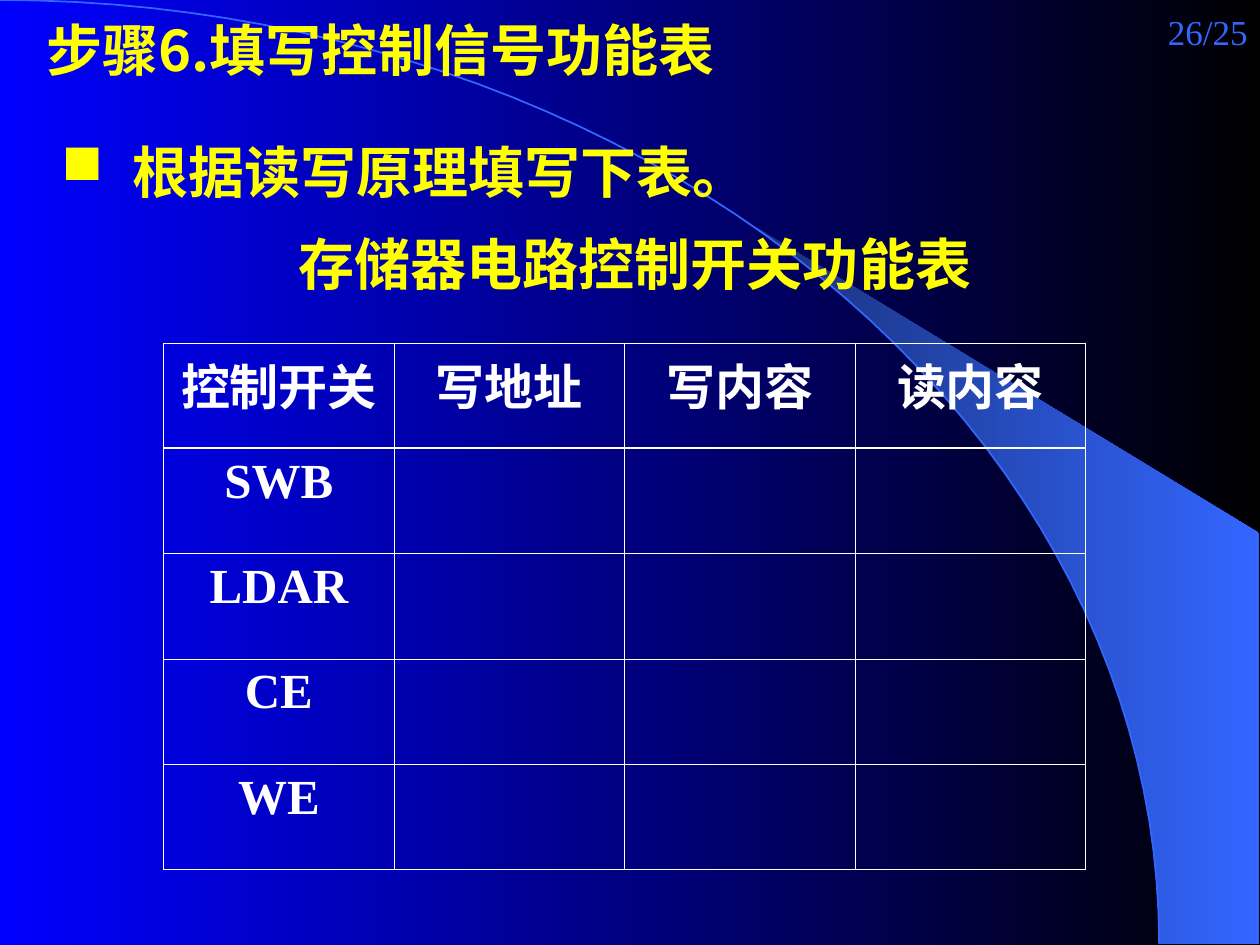
import math

import pptx
import pptx.dml.color
import pptx.enum.text
import pptx.oxml
import pptx.oxml.ns
import pptx.util
from lxml import etree

Pt = pptx.util.Pt
ALIGN = pptx.enum.text.PP_ALIGN
ANCHOR = pptx.enum.text.MSO_ANCHOR
qn = pptx.oxml.ns.qn

SANS, SERIF = "Noto Sans CJK SC", "Times New Roman"
YELLOW, WHITE, BLUE = "FFFF00", "FFFFFF", "3366FF"


def color(hex_string):
    return pptx.dml.color.RGBColor.from_string(hex_string)


def ellipse_arc(radius_x, radius_y, start, end, steps=48):
    """Points on an ellipse centred on the left edge, angles from the top."""
    angles = [math.radians(start + (end - start) * i / steps) for i in range(steps + 1)]
    return [(radius_x * math.sin(a), radius_y * (1 - math.cos(a))) for a in angles]


class SlideBuilder:
    def __init__(self, slide):
        self.slide = slide

    def gradient(self, fill, start, end):
        fill.gradient()
        fill.gradient_angle = 0
        for stop, hex_string in zip(fill.gradient_stops, (start, end)):
            stop.color.rgb = color(hex_string)

    def freeform(self, points, close):
        points = [(Pt(x), Pt(y)) for x, y in points]
        builder = self.slide.shapes.build_freeform(*points[0])
        builder.add_line_segments(points[1:], close=close)
        shape = builder.convert_to_shape()
        shape.shadow.inherit = False
        return shape

    def band(self, points, start, end):
        shape = self.freeform(points, True)
        self.gradient(shape.fill, start, end)
        shape.line.fill.background()

    def curve(self, points, hex_string):
        shape = self.freeform(points, False)
        shape.fill.background()
        shape.line.color.rgb = color(hex_string)
        shape.line.width = Pt(1)

    def style(self, paragraph, size, name, hex_string, bold=True, align=ALIGN.LEFT):
        paragraph.alignment = align
        font = paragraph.font
        font.size, font.name, font.bold = Pt(size), name, bold
        font.color.rgb = color(hex_string)
        if name == SANS:
            properties = paragraph._p.pPr.find(qn("a:defRPr"))
            etree.SubElement(properties, qn("a:ea"), typeface=name)

    def text(self, text, left, top, width, height, size=32, name=SANS,
             hex_string=YELLOW, bold=True, align=ALIGN.LEFT, anchor=ANCHOR.TOP, bullet=None):
        box = self.slide.shapes.add_textbox(Pt(left), Pt(top), Pt(width), Pt(height))
        frame = box.text_frame
        frame.word_wrap = True
        frame.vertical_anchor = anchor
        paragraph = frame.paragraphs[0]
        paragraph.text = text
        if bullet:
            paragraph.line_spacing = 1.2
            properties = paragraph._p.get_or_add_pPr()
            properties.set("marL", str(Pt(40.5)))
            properties.set("indent", str(-Pt(40.5)))
            bullet_color = etree.SubElement(properties, qn("a:buClr"))
            etree.SubElement(bullet_color, qn("a:srgbClr"), val=hex_string)
            etree.SubElement(properties, qn("a:buChar"), char=bullet)
        self.style(paragraph, size, name, hex_string, bold, align)

    def border(self, cell, side, width):
        line = etree.SubElement(cell._tc.get_or_add_tcPr(), qn("a:ln" + side), w=str(Pt(width)))
        fill = etree.SubElement(line, qn("a:solidFill"))
        etree.SubElement(fill, qn("a:srgbClr"), val=WHITE)

    def table(self, header, labels, left, top, column_width, row_height):
        rows, columns = len(labels) + 1, len(header)
        table = self.slide.shapes.add_table(
            rows, columns, Pt(left), Pt(top),
            Pt(column_width * columns), Pt(row_height * rows)).table
        table.first_row = table.horz_banding = False
        contents = [header] + [[label] + [""] * (columns - 1) for label in labels]
        for r, row in enumerate(contents):
            table.rows[r].height = Pt(row_height)
            for c, text in enumerate(row):
                table.columns[c].width = Pt(column_width)
                cell = table.cell(r, c)
                heavy_side = {0: "B", 1: "T"}.get(r)
                for side in "LRTB":
                    self.border(cell, side, 1.5 if side == heavy_side else 0.45)
                cell.fill.background()
                paragraph = cell.text_frame.paragraphs[0]
                paragraph.text = text
                self.style(paragraph, 28, SERIF, WHITE, align=ALIGN.CENTER)


def main():
    presentation = pptx.Presentation()
    presentation.slide_width, presentation.slide_height = Pt(720), Pt(540)
    slide = presentation.slides.add_slide(presentation.slide_layouts[6])
    builder = SlideBuilder(slide)

    # Background with a sweeping curve and a lit band along it
    builder.gradient(slide.background.fill, "0000FF", "000000")
    radius_x, radius_y = 662.4, 539.3
    edge = ellipse_arc(radius_x, radius_y, 39.8, 90)
    builder.band(edge + [(719.3, radius_y), (719.3, 304.6)], "182F76", BLUE)
    builder.curve(ellipse_arc(radius_x, radius_y, 0, 90), BLUE)

    # Page number
    builder.text("26/25", 646.5, 0, 73.5, 36, size=20, name=SERIF, hex_string=BLUE,
                 bold=False, align=ALIGN.RIGHT, anchor=ANCHOR.MIDDLE)

    # Table caption and table
    builder.text("存储器电路控制开关功能表", 23, 127.5, 680, 46, align=ALIGN.CENTER)
    builder.table(["控制开关", "写地址", "写内容", "读内容"],
                  ["SWB", "LDAR", "CE", "WE"], 93.5, 196, 131.75, 60.2)

    # Instruction and title
    builder.text("根据读写原理填写下表。", 28, 67.5, 495, 53, bullet="■")
    builder.text("步骤6.填写控制信号功能表", 19.5, 5.5, 680, 46)

    presentation.save("out.pptx")


if __name__ == "__main__":
    main()
